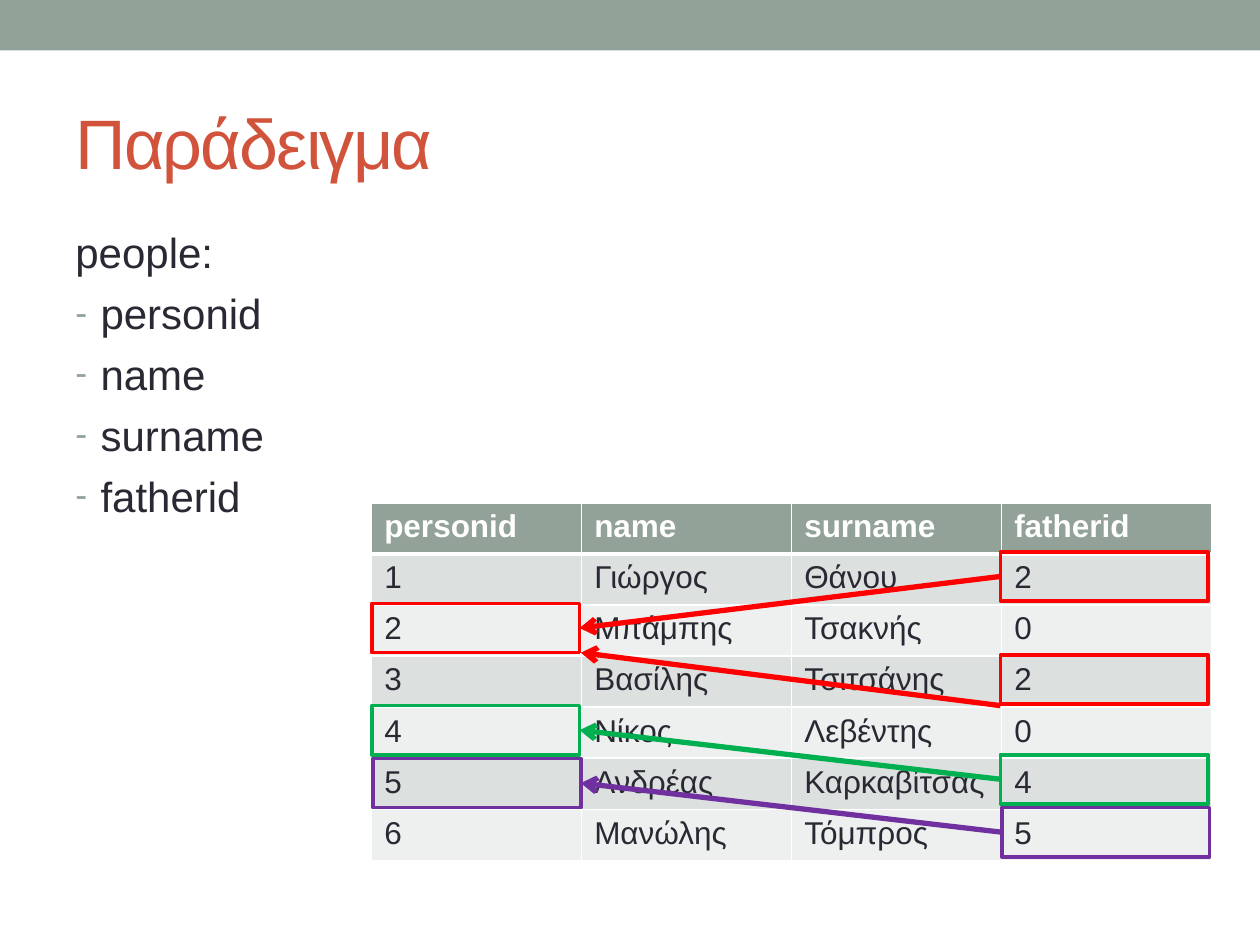
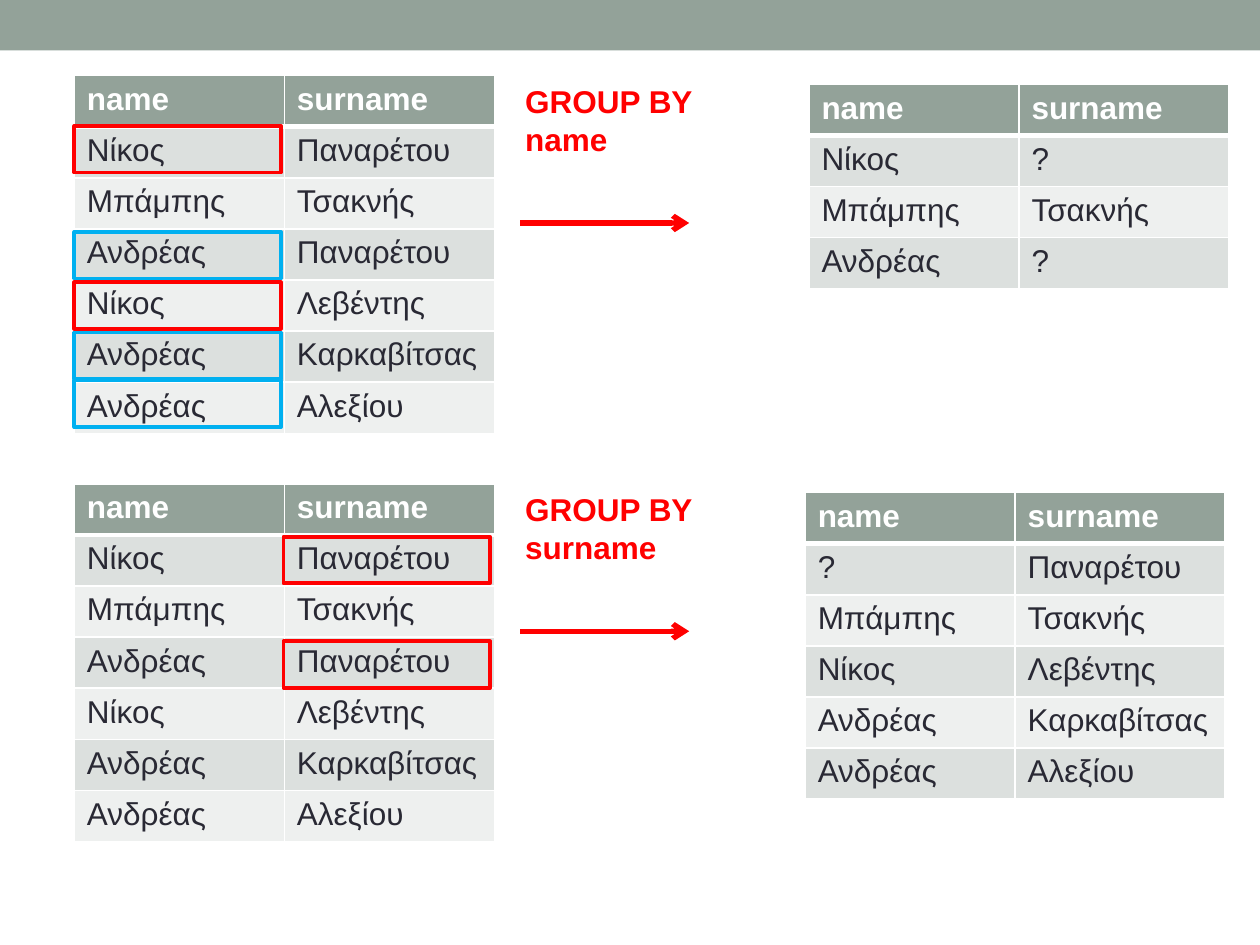
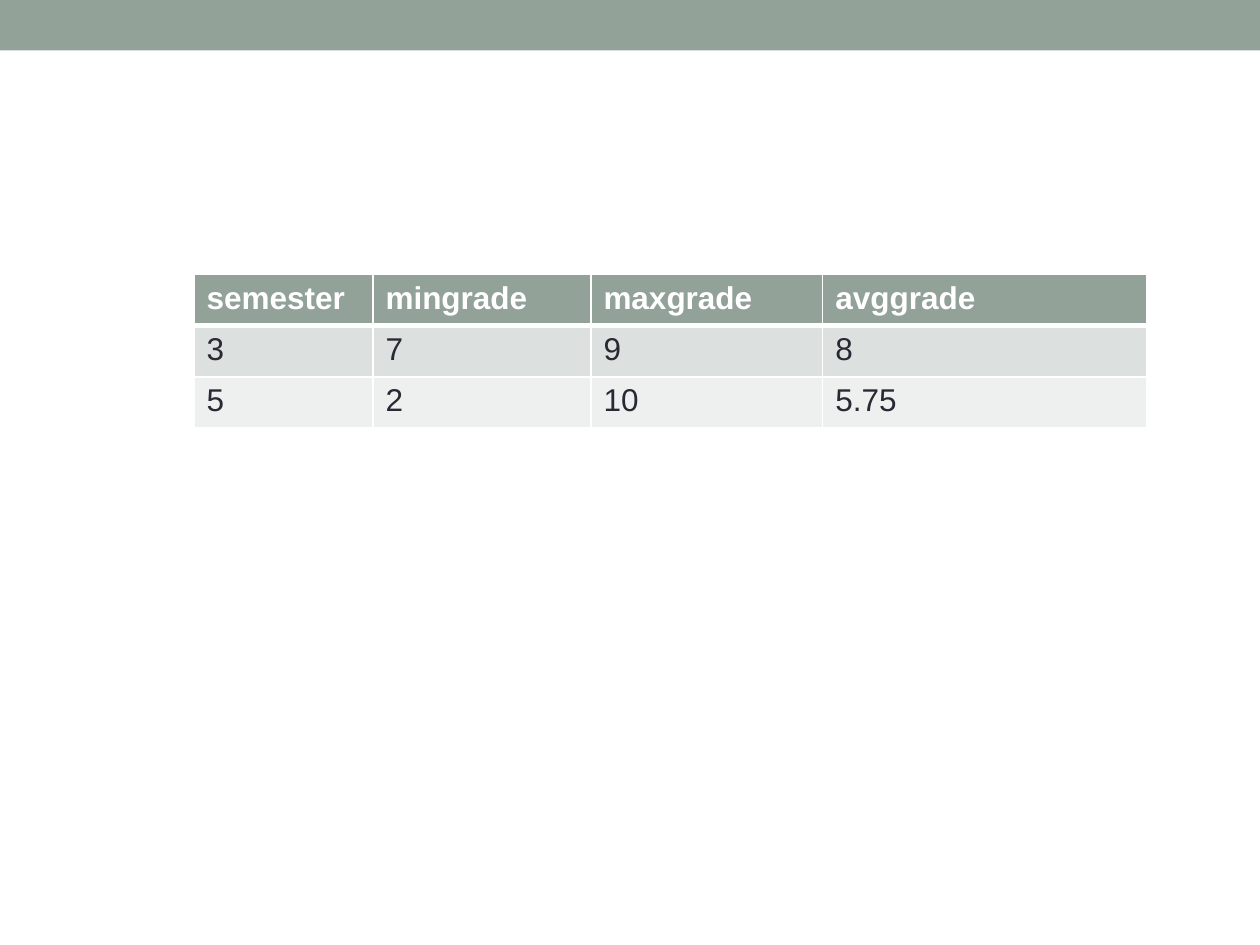
from lxml.etree import SubElement
from pptx import Presentation
from pptx.dml.color import RGBColor
from pptx.enum.shapes import MSO_CONNECTOR as CONN, MSO_SHAPE as SHAPE
from pptx.enum.text import MSO_ANCHOR as ANCHOR, MSO_AUTO_SIZE as AUTO
from pptx.oxml.ns import qn
from pptx.util import Inches, Pt

SAGE, RUST, INK, WHITE = "93A299", "D2533C", "292934", "FFFFFF"
RED, GREEN, PURPLE, BLUE = "FF0000", "00B050", "7030A0", "00B0F0"
BANDS = ("DCE0DE", "EEF0EF")
ROW_H = 2.84 / 7
COL_W = 5 / 3
TOP, LEFT, BOTTOM, RIGHT = range(4)

TITLE = {"size": Pt(40), "name": "Arial"}
BODY = {"size": Pt(24), "name": "Arial"}
CELL = {"size": Pt(18), "name": "Arial", "bold": False}
STRONG = {**CELL, "bold": True}


def rgb(value):
    return RGBColor.from_string(value)


def apply(obj, fmt):
    for name, value in fmt.items():
        setattr(obj, name, value)


def paint(fill, color):
    fill.solid()
    fill.fore_color.rgb = rgb(color)


def write(p, text, fmt, color):
    r = p.add_run()
    r.text = text
    apply(r.font, fmt)
    r.font.color.rgb = rgb(color)
    return r


def add_slide(prs):
    s = prs.slides.add_slide(prs.slide_layouts[6])
    band = s.shapes.add_shape(SHAPE.RECTANGLE, 0, 0, prs.slide_width, Inches(0.4))
    band.shadow.inherit = False
    paint(band.fill, SAGE)
    band.line.fill.background()
    return s


def add_text(s, at, lines, fmt, color, **frame):
    tf = s.shapes.add_textbox(*map(Inches, at)).text_frame
    apply(tf, {"word_wrap": True, **frame})
    for i, line in enumerate(lines):
        p = tf.add_paragraph() if i else tf.paragraphs[0]
        write(p, line, fmt, color)
    return tf


def add_title(s, text):
    tf = add_text(s, (0.5, 0.58, 9, 1.08), [text], TITLE, RUST,
                  vertical_anchor=ANCHOR.MIDDLE)
    tf.paragraphs[0].runs[0].font._element.set("spc", "-100")


def add_dash(p):
    pPr = p._p.get_or_add_pPr()
    pPr.set("marL", str(Inches(0.2)))
    pPr.set("indent", str(Inches(-0.2)))
    clr = SubElement(pPr, qn("a:buClr"))
    SubElement(clr, qn("a:srgbClr"), val=SAGE)
    SubElement(pPr, qn("a:buSzPct"), val="85000")
    SubElement(pPr, qn("a:buFont"), typeface="Arial")
    SubElement(pPr, qn("a:buChar"), char="-")


def add_fields(s, heading, fields):
    tf = add_text(s, (0.5, 1.75, 9, 5.33), [heading, *fields], BODY, INK)
    for i, p in enumerate(tf.paragraphs):
        p.space_before = Pt(6)
        if i:
            add_dash(p)


def add_borders(cell, row):
    tcPr = cell._tc.get_or_add_tcPr()
    widths = {"L": 1, "R": 1, "T": 3 if row == 1 else 1, "B": 3 if row == 0 else 1}
    for side, width in widths.items():
        ln = SubElement(tcPr, qn(f"a:ln{side}"), w=str(Pt(width)))
        fill = SubElement(ln, qn("a:solidFill"))
        SubElement(fill, qn("a:srgbClr"), val=WHITE)


def add_grid(s, left, top, rows, widths=None):
    widths = widths or [COL_W] * len(rows[0])
    size = (sum(widths), ROW_H * len(rows))
    table = s.shapes.add_table(len(rows), len(widths),
                               *map(Inches, (left, top, *size))).table
    for col, width in zip(table.columns, widths):
        col.width = Inches(width)
    for i, row in enumerate(rows):
        table.rows[i].height = Inches(ROW_H)
        for j, text in enumerate(row):
            cell = table.cell(i, j)
            add_borders(cell, i)
            paint(cell.fill, BANDS[(i - 1) % 2] if i else SAGE)
            write(cell.text_frame.paragraphs[0], text,
                  CELL if i else STRONG, INK if i else WHITE)


def add_frame(s, left, top, color, width=1.65, height=0.39):
    sp = s.shapes.add_shape(SHAPE.RECTANGLE,
                            *map(Inches, (left, top, width, height)))
    sp.shadow.inherit = False
    sp.fill.background()
    sp.line.color.rgb = rgb(color)
    sp.line.width = Pt(2.08)
    return sp


def add_arrow(s, color, start=(0, 0), end=(0, 0)):
    cn = s.shapes.add_connector(CONN.STRAIGHT, *map(Inches, (*start, *end)))
    cn.line.color.rgb = rgb(color)
    cn.line.width = Pt(3)
    spPr = cn._element.spPr
    SubElement(spPr.find(qn("a:ln")), qn("a:tailEnd"), type="arrow")
    SubElement(spPr, qn("a:effectLst"))
    return cn


def add_reference(s, color, source, target):
    cn = add_arrow(s, color)
    cn.begin_connect(add_frame(s, *source, color), LEFT)
    cn.end_connect(add_frame(s, *target, color), RIGHT)


def add_group_by(s, top, column, people, result, result_at):
    add_grid(s, 0.59, top, people)
    add_arrow(s, RED, (4.13, top + 1.17), (5.47, top + 1.17))
    add_text(s, (4.07, top, 2.76, 0.71), ["GROUP BY", column], STRONG, RED,
             auto_size=AUTO.SHAPE_TO_FIT_TEXT)
    add_grid(s, *result_at, result)


def family_slide(prs):
    s = add_slide(prs)
    add_title(s, "Παράδειγμα")
    fields = ("personid", "name", "surname", "fatherid")
    add_fields(s, "people:", fields)
    add_grid(s, 2.95, 3.99, [
        fields,
        ("1", "Γιώργος", "Θάνου", "2"),
        ("2", "Μπάμπης", "Τσακνής", "0"),
        ("3", "Βασίλης", "Τσιτσάνης", "2"),
        ("4", "Νίκος", "Λεβέντης", "0"),
        ("5", "Ανδρέας", "Καρκαβίτσας", "4"),
        ("6", "Μανώλης", "Τόμπρος", "5"),
    ])
    add_frame(s, 7.94, 5.2, RED)
    add_arrow(s, RED, (7.94, 5.6), (4.61, 5.18))
    for color, source, target in (
        (RED, (7.94, 4.38), (2.95, 4.79)),
        (GREEN, (7.94, 5.99), (2.95, 5.6)),
        (PURPLE, (7.95, 6.41), (2.96, 6.02)),
    ):
        add_reference(s, color, source, target)


def grouping_slide(prs):
    s = add_slide(prs)
    header = ("name", "surname")
    people = [
        header,
        ("Νίκος", "Παναρέτου"),
        ("Μπάμπης", "Τσακνής"),
        ("Ανδρέας", "Παναρέτου"),
        ("Νίκος", "Λεβέντης"),
        ("Ανδρέας", "Καρκαβίτσας"),
        ("Ανδρέας", "Αλεξίου"),
    ]
    by_name = [header, ("Νίκος", "?"), ("Μπάμπης", "Τσακνής"), ("Ανδρέας", "?")]
    by_surname = [header, ("?", "Παναρέτου"), people[2], *people[4:]]
    add_group_by(s, 0.6, "name", people, by_name, (6.42, 0.67))
    add_group_by(s, 3.84, "surname", people, by_surname, (6.39, 3.91))
    for left, color, tops in (
        (2.25, RED, (4.26, 5.09)),
        (0.59, BLUE, (1.84, 2.64, 3.02)),
        (0.59, RED, (1, 2.24)),
    ):
        for top in tops:
            add_frame(s, left, top, color, 1.64, 0.37)


def grades_slide(prs):
    s = add_slide(prs)
    add_grid(s, 1.54, 2.18, [
        ("semester", "mingrade", "maxgrade", "avggrade"),
        ("3", "7", "9", "8"),
        ("5", "2", "10", "5.75"),
    ], (1.42, 1.73, 1.84, 2.57))


def main():
    prs = Presentation()
    prs.slide_width, prs.slide_height = Inches(10), Inches(7.5)
    family_slide(prs)
    grouping_slide(prs)
    grades_slide(prs)
    prs.save("out.pptx")


if __name__ == "__main__":
    main()
